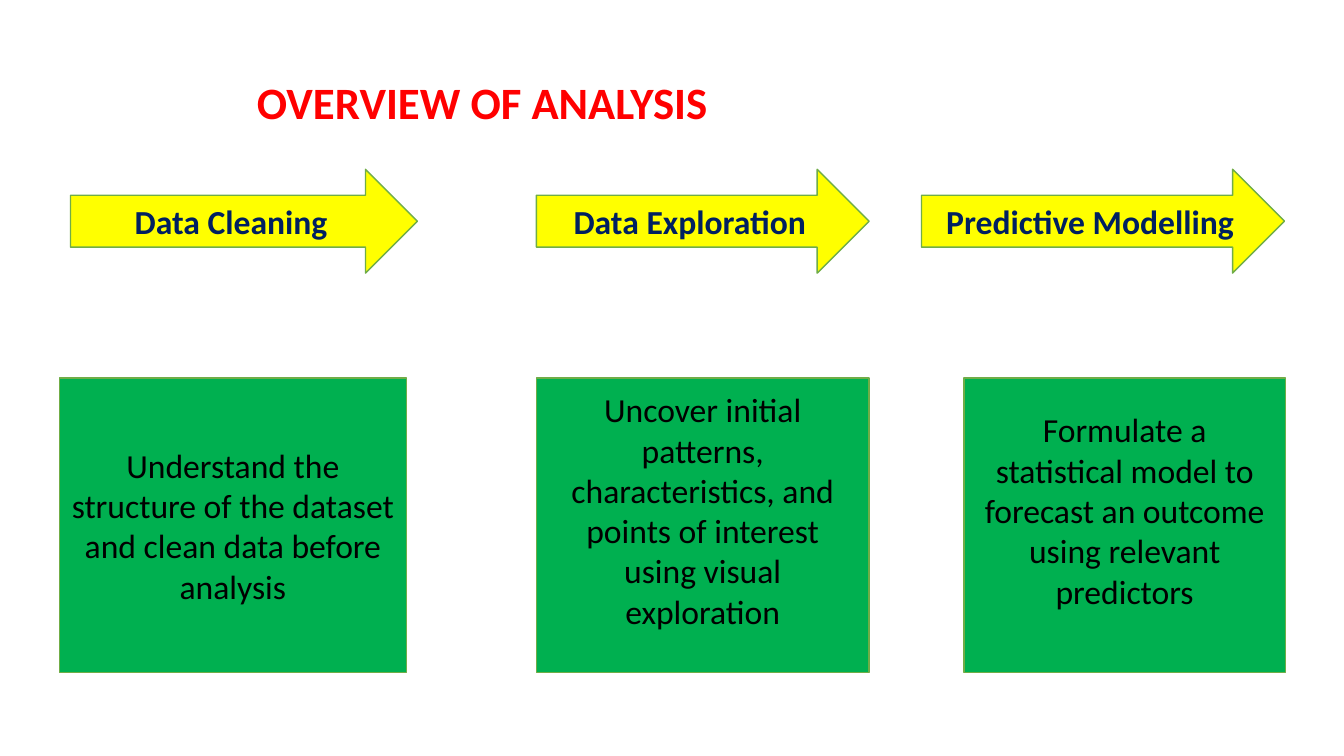
"""Build the overview of analysis slide."""
from pptx import Presentation
from pptx.dml.color import RGBColor
from pptx.enum.shapes import MSO_SHAPE as Shape
from pptx.enum.text import MSO_ANCHOR as Anchor, PP_ALIGN as Align
from pptx.util import Inches, Pt

RED = RGBColor(0xFF, 0x00, 0x00)
YELLOW = RGBColor(0xFF, 0xFF, 0x00)
GREEN = RGBColor(0x00, 0xB0, 0x50)
EDGE = RGBColor(0x70, 0xAD, 0x47)
NAVY = RGBColor(0x00, 0x20, 0x60)
BLACK = RGBColor(0x00, 0x00, 0x00)

TITLE = "OVERVIEW OF ANALYSIS"
STEPS = [
    {"name": "Data Cleaning", "arrow": (0.7, 3.44), "card": (0.59, 3.44),
     "note": "Understand the structure of the dataset and clean data before analysis",
     "foot": 0.05},
    {"name": "Data Exploration", "arrow": (5.32, 3.3), "card": (5.32, 3.3),
     "note": "Uncover initial patterns, characteristics, and "
             "points of interest\vusing visual\vexploration",
     "foot": 0.35},
    {"name": "Predictive Modelling", "arrow": (9.14, 3.6), "card": (9.56, 3.19),
     "note": "Formulate a\vstatistical model to forecast an outcome using relevant predictors",
     "foot": 0.35},
]
ARROW_ROW = (1.68, 1.03)
CARD_ROW = (3.75, 2.92)


def write(frame, text, size, color, bold=False, align=Align.CENTER):
    frame.word_wrap = True
    frame.vertical_anchor = Anchor.MIDDLE
    frame.text = text
    par = frame.paragraphs[0]
    par.alignment = align
    for run in par.runs:
        font = run.font
        font.name, font.size, font.bold = "Calibri", Pt(size), bold
        font.color.rgb = color
    return par


def draw(slide, kind, col, row, fill):
    (left, width), (top, height) = col, row
    shape = slide.shapes.add_shape(
        kind, Inches(left), Inches(top), Inches(width), Inches(height))
    shape.shadow.inherit = False
    shape.fill.solid()
    shape.fill.fore_color.rgb = fill
    shape.line.color.rgb = EDGE
    shape.line.width = Pt(1)
    return shape


def main():
    deck = Presentation()
    deck.slide_width, deck.slide_height = Inches(13.33), Inches(7.5)
    slide = deck.slides.add_slide(deck.slide_layouts[6])

    title = slide.shapes.add_textbox(
        Inches(2.45), Inches(0.4), Inches(9.97), Inches(1.28))
    par = write(title.text_frame, TITLE, 32, RED, True, Align.LEFT)
    par.line_spacing = 0.9

    for step in STEPS:
        card = draw(slide, Shape.RECTANGLE, step["card"], CARD_ROW, GREEN)
        card.text_frame.margin_bottom = Inches(step["foot"])
        write(card.text_frame, step["note"], 24, BLACK)
        arrow = draw(slide, Shape.RIGHT_ARROW, step["arrow"], ARROW_ROW, YELLOW)
        write(arrow.text_frame, step["name"], 24, NAVY, True)

    deck.save("out.pptx")


if __name__ == "__main__":
    main()
